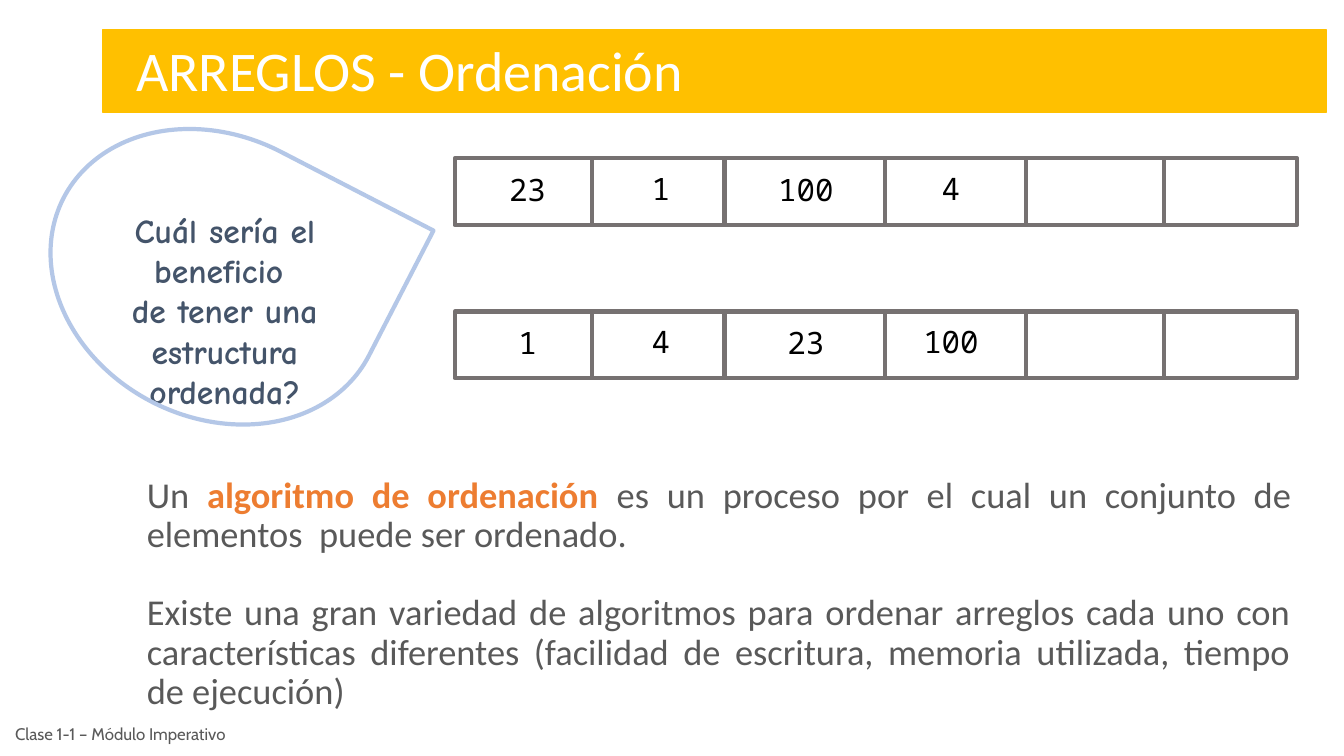
"""Build the slide about sorting arrays."""
from dataclasses import dataclass
from typing import Any, Optional

import pptx
import pptx.dml.color
import pptx.enum.shapes
import pptx.enum.text
import pptx.oxml
import pptx.util
from pptx.util import Cm

ALIGN = pptx.enum.text.PP_ALIGN
ANCHOR = pptx.enum.text.MSO_ANCHOR
AUTO_SIZE = pptx.enum.text.MSO_AUTO_SIZE
SHAPE = pptx.enum.shapes.MSO_SHAPE

GOLD = "FFC000"
WHITE = "FFFFFF"
BLACK = "000000"
SLATE = "44546A"
SKY = "B4C7E7"
GRAY = "767171"
DARK_GRAY = "595959"
ORANGE = "ED7D31"


@dataclass(frozen=True)
class Box:
    """Position and size in centimetres."""

    left: float
    top: float
    width: float
    height: float

    def lengths(self) -> tuple:
        """Return the four lengths for python-pptx."""
        return Cm(self.left), Cm(self.top), Cm(self.width), Cm(self.height)


@dataclass(frozen=True)
class Run:
    """A piece of text with optional emphasis."""

    text: str
    color: Optional[str] = None
    bold: bool = False


@dataclass(frozen=True)
class Style:
    """Formatting shared by all the text of one box."""

    font: str
    size: float
    color: str
    frame: dict
    paragraph: dict


@dataclass(frozen=True)
class ValueSlot:
    """Place of one value inside an array."""

    left: float
    drop: float
    width: float


@dataclass(frozen=True)
class Array:
    """An array drawn as a row of cells."""

    top: float
    values: tuple


GROWING = {"word_wrap": True, "auto_size": AUTO_SIZE.SHAPE_TO_FIT_TEXT}
CENTERED = {"alignment": ALIGN.CENTER}
TITLE = Style("Calibri", 40, WHITE, GROWING, {})
QUESTION = Style("Comic Neue", 24, SLATE, GROWING, CENTERED)
VALUE = Style("Noto Sans Mono", 22, BLACK, GROWING, CENTERED)
BODY = Style("Calibri", 26, DARK_GRAY, {"word_wrap": True},
             {"alignment": ALIGN.JUSTIFY, "line_spacing": 0.9})
FOOTER = Style("Cabin", 12, DARK_GRAY,
               {"word_wrap": True, "vertical_anchor": ANCHOR.MIDDLE}, {})

ARRAY_LEFT, ARRAY_WIDTH, ARRAY_HEIGHT = 11.46, 21.23, 1.68
DIVIDERS = (14.91, 18.26, 22.3, 25.86, 29.34)
SLOTS = (ValueSlot(12.01, 0.18, 2.57), ValueSlot(15.37, 0.15, 2.57),
         ValueSlot(19, 0.18, 2.62), ValueSlot(22.63, 0.15, 2.67))
ARRAYS = (Array(3.99, ("23", "1", "100", "4")),
          Array(7.85, ("1", "4", "23", "100")))


def rgb(value: str) -> pptx.dml.color.RGBColor:
    """Turn a hex string into a colour."""
    return pptx.dml.color.RGBColor.from_string(value)


def apply(target: Any, formats: dict) -> None:
    """Set every format value on the target."""
    for name, value in formats.items():
        setattr(target, name, value)


def draw_line_format(line: Any, color: str, width: float) -> None:
    """Colour and size an outline or a connector."""
    line.color.rgb = rgb(color)
    line.width = pptx.util.Pt(width)


def draw_shape(slide: Any, kind: Any, box: Box, line: str, width: float,
               fill: Optional[str] = None) -> Any:
    """Draw a preset shape without a shadow."""
    outline = slide.shapes.add_shape(kind, *box.lengths())
    outline.shadow.inherit = False
    if fill:
        outline.fill.solid()
        outline.fill.fore_color.rgb = rgb(fill)
    else:
        outline.fill.background()
    draw_line_format(outline.line, line, width)
    return outline


def draw_divider(slide: Any, left: float, top: float) -> None:
    """Draw a vertical line between two cells."""
    divider = slide.shapes.add_connector(
        pptx.enum.shapes.MSO_CONNECTOR.STRAIGHT,
        Cm(left), Cm(top), Cm(left), Cm(top + ARRAY_HEIGHT))
    draw_line_format(divider.line, GRAY, 3)
    pptx.oxml.xmlchemy.OxmlElement
    divider._element.spPr.append(pptx.oxml.xmlchemy.OxmlElement("a:effectLst"))


def draw_text(slide: Any, box: Box, style: Style, paragraphs: tuple,
              gap: float = 0) -> None:
    """Write paragraphs of runs, with a gap in points between them."""
    frame = slide.shapes.add_textbox(*box.lengths()).text_frame
    apply(frame, style.frame)
    for index, runs in enumerate(paragraphs):
        paragraph = frame.add_paragraph() if index else frame.paragraphs[0]
        apply(paragraph, style.paragraph)
        if index and gap:
            paragraph.space_before = pptx.util.Pt(gap)
        for piece in runs:
            run = paragraph.add_run()
            run.text = piece.text
            apply(run.font, {"name": style.font, "bold": piece.bold,
                             "size": pptx.util.Pt(style.size)})
            run.font.color.rgb = rgb(piece.color or style.color)


def draw_array(slide: Any, array: Array) -> None:
    """Draw the cells of an array and its values."""
    draw_shape(slide, SHAPE.RECTANGLE,
               Box(ARRAY_LEFT, array.top, ARRAY_WIDTH, ARRAY_HEIGHT), GRAY, 3)
    for left in DIVIDERS:
        draw_divider(slide, left, array.top)
    for slot, value in zip(SLOTS, array.values):
        draw_text(slide, Box(slot.left, array.top + slot.drop, slot.width, 1.19),
                  VALUE, ((Run(value),),))


def main() -> None:
    """Build and save the presentation."""
    deck = pptx.Presentation()
    apply(deck, {"slide_width": Cm(33.87), "slide_height": Cm(19.05)})
    slide = deck.slides.add_slide(deck.slide_layouts[6])

    draw_shape(slide, SHAPE.RECTANGLE, Box(2.59, 0.76, 30.84, 2.06), GOLD, 1, GOLD)
    draw_text(slide, Box(3.18, 0.76, 14.45, 1.96), TITLE,
              ((Run("ARREGLOS - Ordenación"),),))

    draw_text(slide, Box(1.55, 5.16, 8.23, 5.38), QUESTION,
              ((Run("Cuál sería el beneficio ", bold=True),),
               (Run("de tener una estructura ordenada?", bold=True),)))
    bubble = draw_shape(slide, SHAPE.TEAR, Box(1.12, 3.43, 8.66, 7.09), SKY, 3)
    bubble.rotation = 27.3

    for array in ARRAYS:
        draw_array(slide, array)

    draw_text(slide, Box(3.45, 11.89, 29.36, 6.05), BODY, (
        (Run("Un "), Run("algoritmo de ordenación ", ORANGE, True),
         Run("es un proceso por el cual un conjunto de elementos  "
             "puede ser ordenado.")),
        (Run("Existe una gran variedad de algoritmos para ordenar arreglos "
             "cada uno con características diferentes (facilidad de escritura, "
             "memoria utilizada, tiempo de ejecución)"),)), gap=28)
    draw_text(slide, Box(0.13, 17.91, 8.1, 1.14), FOOTER,
              ((Run("Clase 1-1 – Módulo Imperativo"),),))
    deck.save("out.pptx")


if __name__ == "__main__":
    main()
